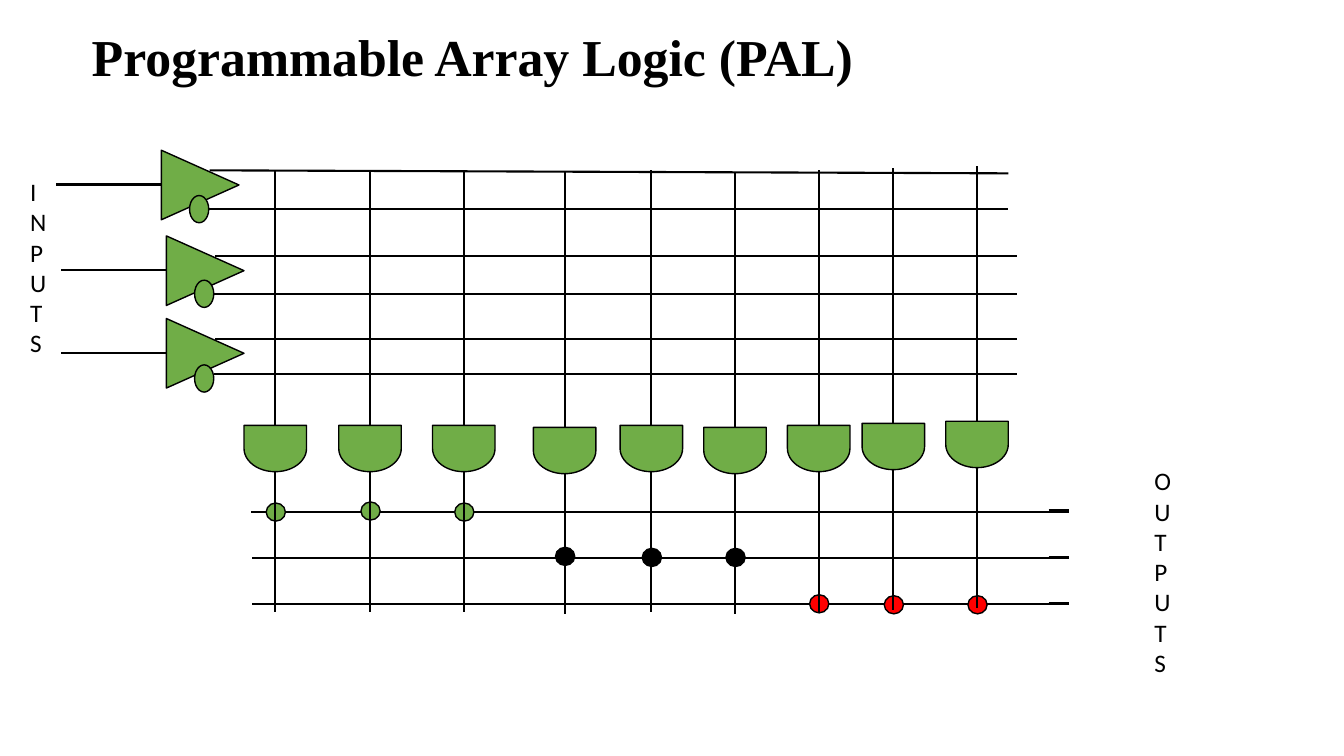
"""Build the Programmable Array Logic slide."""
from dataclasses import dataclass

from lxml import etree
from pptx import Presentation
from pptx import util as u
from pptx.dml.color import RGBColor
from pptx.enum import shapes, text
from pptx.oxml import ns

INK = {"black": "000000", "green": "70AD47", "red": "FF0000"}
KIND = shapes.MSO_SHAPE


@dataclass
class Buffer:
    left: float
    top: float
    bubble: float
    low: float
    end: float
    tilt: float = 0


@dataclass
class Term:
    x: float
    shift: float
    dot: float


@dataclass
class Output:
    left: float
    y: float
    tick: float
    color: str


@dataclass
class Label:
    left: float
    top: float
    width: float
    height: float
    lines: str


BUFFERS = [
    Buffer(1.64, 1.45, 1.94, 2.07, 10, 0.03),
    Buffer(1.69, 2.3, 2.78, 2.92, 10.09),
    Buffer(1.69, 3.12, 3.62, 3.71, 10.09),
]
TERMS = [
    Term(2.73, 0, 4.99), Term(3.67, 0, 4.98), Term(4.6, 0, 4.99),
    Term(5.6, 0.02, 5.43), Term(6.46, 0, 5.44), Term(7.29, 0.02, 5.44),
    Term(8.12, 0, 5.9), Term(8.86, -0.02, 5.91), Term(9.69, -0.04, 5.91),
]
OUTPUTS = [
    Output(2.49, 5.08, 5.07, "green"),
    Output(2.5, 5.54, 5.53, "black"),
    Output(2.5, 5.99, 5.99, "red"),
]
LABELS = [
    Label(0.17, 1.68, 0.34, 2.02, "INPUT\nS"),
    Label(11.32, 4.55, 0.34, 2.33, "OUTPUTS"),
]


def paint(name: str) -> RGBColor:
    """Return a named colour."""
    return RGBColor.from_string(INK[name])


def wire(slide, x1: float, y1: float, x2: float, y2: float, size: float = 1.5) -> None:
    """Draw a black line between two points."""
    ends = [u.Inches(n) for n in (x1, y1, x2, y2)]
    line = slide.shapes.add_connector(shapes.MSO_CONNECTOR.STRAIGHT, *ends)
    line.line.color.rgb = paint("black")
    line.line.width = u.Pt(size)
    etree.SubElement(line._element.spPr, ns.qn("a:effectLst"))


def part(slide, kind: KIND, x: float, y: float, w: float, h: float,
         color: str = "green", turn: int = 0) -> None:
    """Draw a filled, outlined shape."""
    shape = slide.shapes.add_shape(kind, *[u.Inches(n) for n in (x, y, w, h)])
    shape.rotation = turn
    shape.shadow.inherit = False
    shape.fill.solid()
    shape.fill.fore_color.rgb = paint(color)
    shape.line.color.rgb = paint("black")
    shape.line.width = u.Pt(1)


def buffer(slide, item: Buffer) -> None:
    """Draw an input buffer with its true and inverted lines."""
    x, y = item.left, item.top
    part(slide, KIND.ISOSCELES_TRIANGLE, x, y, 0.69, 0.77, turn=90)
    part(slide, KIND.OVAL, x + 0.24, item.bubble, 0.19, 0.27)
    wire(slide, x - 1.08, y + 0.38, x - 0.04, y + 0.38)
    wire(slide, x + 0.43, item.low, item.end, item.low)
    wire(slide, x + 0.44, y + 0.24, item.end, y + 0.24 + item.tilt)


def term(slide, item: Term, color: str) -> None:
    """Draw an AND gate with its column and its dot."""
    x, d = item.x, item.shift
    part(slide, KIND.OVAL, x - 0.09, item.dot, 0.19, 0.18, color)
    part(slide, KIND.FLOWCHART_DELAY, x - 0.23, 4.14 + d, 0.46, 0.62, turn=90)
    wire(slide, x, 4.22 + d, x, 1.69 + d)
    wire(slide, x, 6.07 + d, x, 4.68 + d)


def label(slide, item: Label) -> None:
    """Write a label, one letter to a line."""
    spot = [u.Inches(n) for n in (item.left, item.top, item.width, item.height)]
    frame = slide.shapes.add_textbox(*spot).text_frame
    frame.word_wrap = True
    frame.margin_left = frame.margin_right = u.Inches(0.13)
    frame.margin_top = frame.margin_bottom = u.Inches(0.07)
    frame.text = item.lines
    for para in frame.paragraphs:
        para.font.name = "Calibri"
        para.font.size = u.Pt(18)
        para.font.color.rgb = paint("black")


def head(slide) -> None:
    """Place and format the title."""
    title = slide.shapes.title
    title.left, title.top = u.Inches(0.81), u.Inches(0.19)
    title.width, title.height = u.Inches(11.86), u.Inches(0.73)
    frame = title.text_frame
    frame.text = "Programmable Array Logic (PAL)"
    frame.auto_size = text.MSO_AUTO_SIZE.NONE
    frame.vertical_anchor = text.MSO_ANCHOR.MIDDLE
    para = frame.paragraphs[0]
    para.alignment = text.PP_ALIGN.LEFT
    font = para.runs[0].font
    font.name, font.size, font.bold = "Times New Roman", u.Pt(37), True
    font.color.rgb = paint("black")


def main() -> None:
    """Build and save the slide."""
    deck = Presentation()
    deck.slide_width, deck.slide_height = u.Inches(13.33), u.Inches(7.5)
    slide = deck.slides.add_slide(deck.slide_layouts[5])
    head(slide)
    for item in BUFFERS:
        buffer(slide, item)
    for out in OUTPUTS:
        wire(slide, out.left, out.y, out.left + 7.95, out.y)
        wire(slide, 10.4, out.tick, 10.6, out.tick, 2.25)
    for i, item in enumerate(TERMS):
        term(slide, item, OUTPUTS[i // 3].color)
    for item in LABELS:
        label(slide, item)
    deck.save("out.pptx")


if __name__ == "__main__":
    main()
